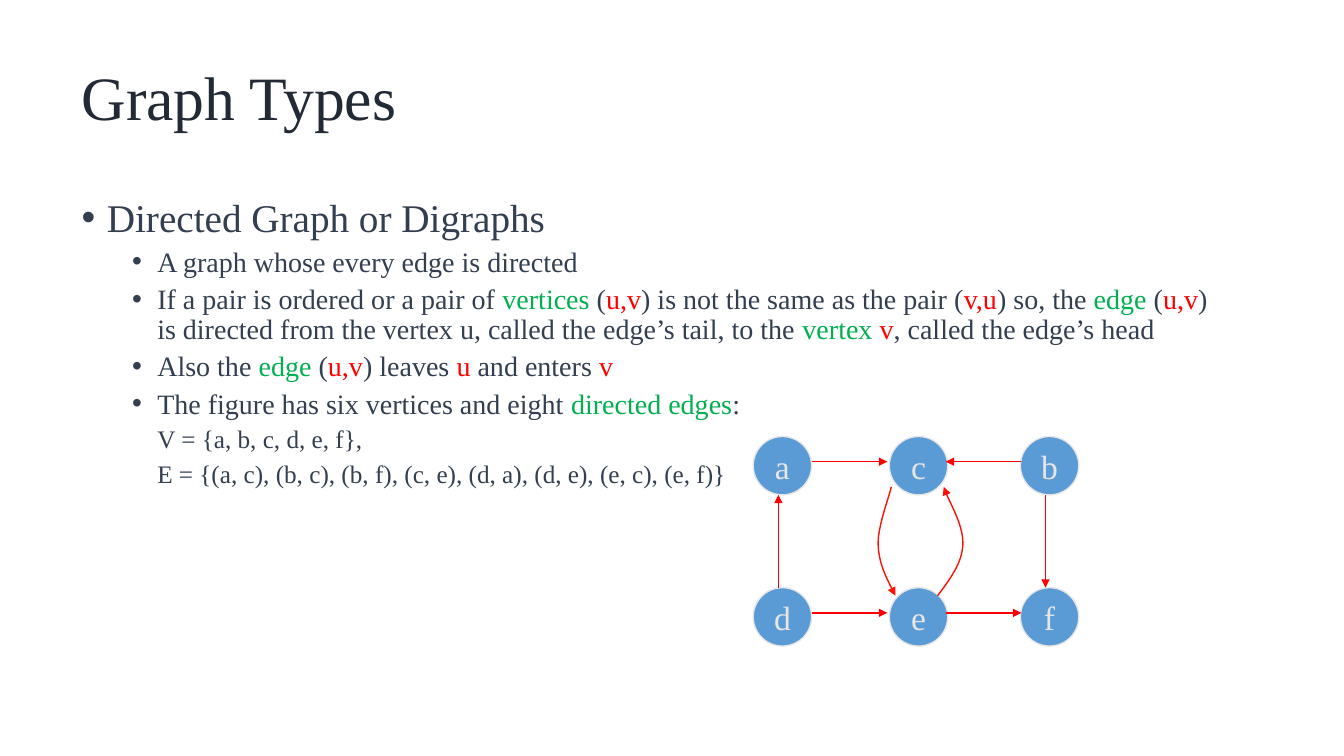
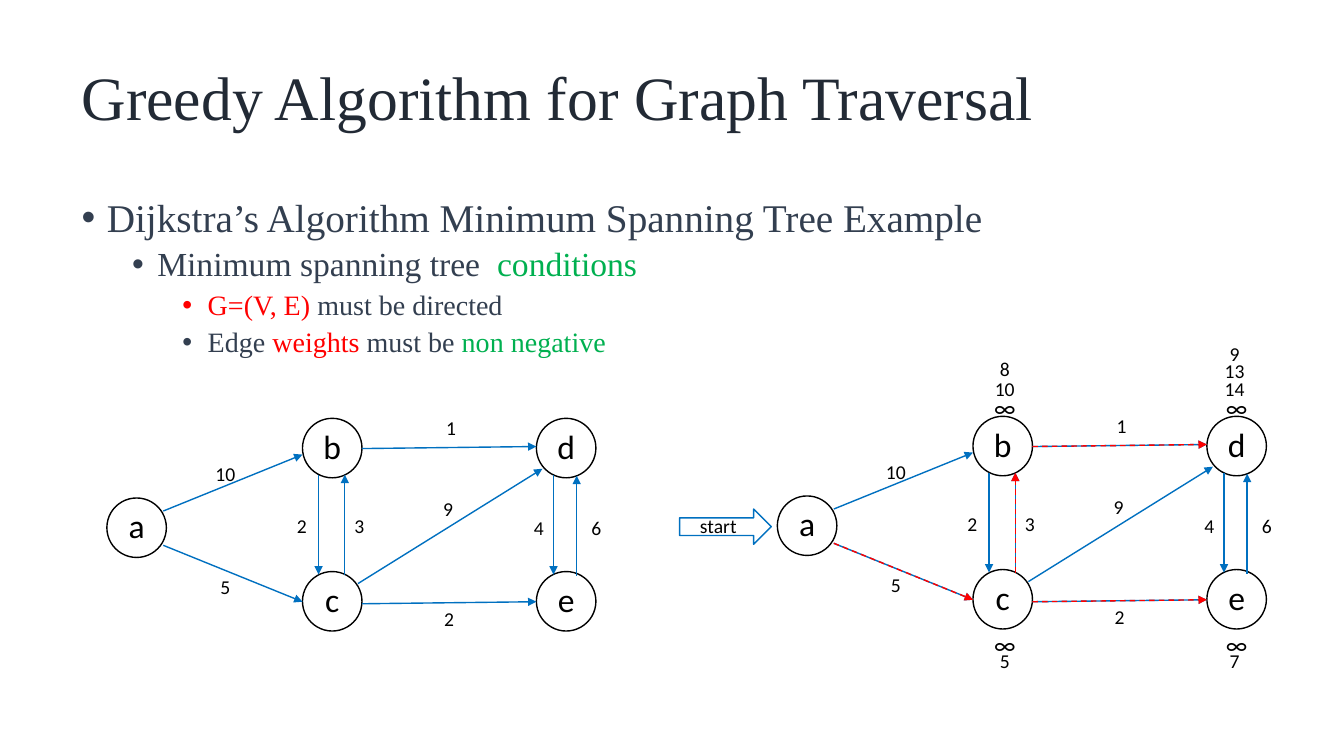
"""Build two lecture slides on directed graphs and Dijkstra's algorithm."""
from dataclasses import dataclass

from lxml import etree
from pptx import Presentation
from pptx.dml.color import RGBColor
from pptx.enum.dml import MSO_LINE
from pptx.enum.shapes import MSO_CONNECTOR, MSO_SHAPE
from pptx.enum.text import MSO_ANCHOR, MSO_AUTO_SIZE, PP_ALIGN
from pptx.oxml.ns import qn
from pptx.util import Inches, Pt

STRAIGHT = MSO_CONNECTOR.STRAIGHT
OVAL, RIGHT_ARROW = MSO_SHAPE.OVAL, MSO_SHAPE.RIGHT_ARROW
DASH = MSO_LINE.DASH
LEFT, CENTER = PP_ALIGN.LEFT, PP_ALIGN.CENTER
MIDDLE, TOP = MSO_ANCHOR.MIDDLE, MSO_ANCHOR.TOP
FIXED = MSO_AUTO_SIZE.NONE


@dataclass(frozen=True)
class NodeStyle:
    fill: str
    outline: str
    text: str
    font: str
    diameter: float
    top_inset: float


@dataclass(frozen=True)
class Theme:
    serif: str = "Times New Roman"
    sans: str = "Calibri"
    title: str = "222A35"
    body: str = "333F50"
    green: str = "00B050"
    red: str = "FF0000"
    curve: str = "FB1105"
    blue: str = "0070C0"
    black: str = "000000"
    title_size: int = 44
    heading_size: int = 28
    subheading_size: int = 24
    detail_size: int = 20
    formula_size: int = 18
    node_size: int = 24
    infinity_size: int = 18
    label_size: int = 14
    solid_node: NodeStyle = NodeStyle("5B9BD5", "E7E6E6", "E7E6E6", "Times New Roman", 0.58, 0.05)
    open_node: NodeStyle = NodeStyle("", "000000", "000000", "Calibri", 0.59, 0)


THEME = Theme()
GREEN, RED = THEME.green, THEME.red

DIGRAPH_TEXT = [
    (0, THEME.heading_size, True, ["Directed Graph or Digraphs"]),
    (1, THEME.detail_size, True, ["A graph whose every edge is directed"]),
    (1, THEME.detail_size, True, [
        "If a pair is ordered or a pair of ", ("vertices", GREEN), " (", ("u,v", RED),
        ") is not the same as the pair (", ("v,u", RED), ") so, the ", ("edge", GREEN),
        " (", ("u,v", RED),
        ") is directed from the vertex u, called the edge’s tail, to the ",
        ("vertex ", GREEN), ("v", RED), ", called the edge’s head"]),
    (1, THEME.detail_size, True, [
        "Also the ", ("edge", GREEN), " (", ("u,v", RED), ") leaves ", ("u", RED),
        " and enters ", ("v", RED)]),
    (1, THEME.detail_size, True, [
        "The figure has six vertices and eight ", ("directed edges", GREEN), ":"]),
    (1, THEME.formula_size, False, ["V = {a, b, c, d, e, f},"]),
    (1, THEME.formula_size, False, [
        "E = {(a, c), (b, c), (b, f), (c, e), (d, a), (d, e), (e, c), (e, f)}"]),
]
DIJKSTRA_TEXT = [
    (0, THEME.heading_size, True, ["Dijkstra’s Algorithm Minimum Spanning Tree Example"]),
    (1, THEME.subheading_size, True, ["Minimum spanning tree  ", ("conditions", GREEN)]),
    (2, THEME.detail_size, True, [("G=(V, E) ", RED), "must be directed"]),
    (2, THEME.detail_size, True, [
        "Edge ", ("weights", RED), " must be ", ("non negative", GREEN)]),
]

DIGRAPH_COLUMNS = (7.47, 8.82, 10.12)
DIGRAPH_ROWS = {4.33: "acb", 5.83: "def"}
DIGRAPH_EDGES = [
    ((8.05, 4.58), (8.8, 4.58)),
    ((10.13, 4.58), (9.38, 4.58)),
    ((8.05, 6.08), (8.8, 6.08)),
    ((9.38, 6.08), (10.13, 6.08)),
    ((7.72, 5.83), (7.72, 4.91)),
    ((10.37, 4.91), (10.37, 5.83)),
]
DIGRAPH_CURVES = [
    [(9.3, 5.91), (9.42, 5.75), (9.54, 5.59), (9.55, 5.41),
     (9.56, 5.23), (9.39, 4.93), (9.36, 4.83)],
    [(8.84, 4.83), (8.82, 4.93), (8.7, 5.23), (8.71, 5.41),
     (8.72, 5.59), (8.8, 5.75), (8.88, 5.91)],
]

WEIGHTED_NODES = {"a": (1.06, 4.94), "b": (3, 4.15), "c": (3, 5.67),
                  "d": (5.32, 4.15), "e": (5.32, 5.67)}
WEIGHTED_EDGES = {
    "ab": ((1.62, 5.07), (3, 4.51), "10", (1.96, 4.53)),
    "ac": ((1.62, 5.41), (3, 5.97), "5", (1.96, 5.65)),
    "bc": ((3.16, 4.71), (3.16, 5.7), "2", (2.72, 5.05)),
    "cb": ((3.42, 5.7), (3.42, 4.71), "3", (3.29, 5.05)),
    "de": ((5.49, 4.71), (5.49, 5.7), "4", (5.07, 5.07)),
    "ed": ((5.72, 5.71), (5.72, 4.72), "6", (5.64, 5.07)),
    "bd": ((3.59, 4.45), (5.32, 4.43), "1", (4.2, 4.08)),
    "ce": ((3.59, 5.99), (5.32, 5.97), "2", (4.18, 5.97)),
    "cd": ((3.55, 5.79), (5.38, 4.65), "9", (4.17, 4.88)),
}
SHORTEST_EDGES = ("ac", "bd", "ce", "cb")
DISTANCES = [
    ("10", 9.69, 3.69), ("8", 9.69, 3.49), ("5", 9.69, 6.39),
    ("14", 11.97, 3.69), ("13", 11.97, 3.51), ("9", 11.97, 3.34), ("7", 11.97, 6.39),
]


class Deck:
    """Hold the theme and the current slide, and draw each kind of element."""

    def __init__(self, theme):
        self.theme = theme
        self.presentation = Presentation()
        self.presentation.slide_width = Inches(13.33)
        self.presentation.slide_height = Inches(7.5)
        self.slide = None

    def add_slide(self, title, paragraphs, body_width):
        """Start a slide with its title and bulleted body."""
        self.slide = self.presentation.slides.add_slide(self.presentation.slide_layouts[1])
        frame = self.place(self.slide.shapes.title, 0.35, 12.29, 1.29, MIDDLE)
        frame.text = title
        paragraph = frame.paragraphs[0]
        paragraph.alignment, paragraph.line_spacing = LEFT, 0.9
        self.format(paragraph.runs[0], self.theme.serif, self.theme.title_size, self.theme.title)
        frame = self.place(self.slide.placeholders[1], 1.92, body_width, 4.76, TOP)
        for index, (level, size, bullet, parts) in enumerate(paragraphs):
            paragraph = frame.add_paragraph() if index else frame.paragraphs[0]
            self.body_paragraph(paragraph, level, size, bullet, parts)
            paragraph.space_before = Pt(5 if index else 0)

    def place(self, shape, top, width, height, anchor):
        """Position a placeholder and return its text frame."""
        shape.left, shape.top = Inches(0.71), Inches(top)
        shape.width, shape.height = Inches(width), Inches(height)
        frame = shape.text_frame
        frame.auto_size, frame.vertical_anchor = FIXED, anchor
        return frame

    def body_paragraph(self, paragraph, level, size, bullet, parts):
        """Fill one body paragraph from plain and coloured parts."""
        paragraph.level, paragraph.line_spacing = level, 0.9
        properties = paragraph._p.get_or_add_pPr()
        properties.set("marL", str(Inches(0.25 + 0.5 * level)))
        properties.set("indent", str(Inches(-0.25 if bullet else 0)))
        if bullet:
            etree.SubElement(properties, qn("a:buFont")).set("typeface", "Arial")
            etree.SubElement(properties, qn("a:buChar")).set("char", "•")
        else:
            etree.SubElement(properties, qn("a:buNone"))
        for part in parts:
            text, color = (part, self.theme.body) if isinstance(part, str) else part
            run = paragraph.add_run()
            run.text = text
            self.format(run, self.theme.serif, size, color)

    def format(self, run, font, size, color):
        """Set the font, size and colour of a run."""
        run.font.name, run.font.size = font, Pt(size)
        run.font.color.rgb = RGBColor.from_string(color)

    def stroke(self, line, color, arrow=False, dashed=False):
        """Style a one-point line."""
        line.color.rgb = RGBColor.from_string(color)
        line.width = Pt(1)
        if dashed:
            line.dash_style = DASH
        if arrow:
            etree.SubElement(line._get_or_add_ln(), qn("a:tailEnd")).set("type", "triangle")

    def outline(self, kind, left, top, width, height, color, fill=""):
        """Draw a preset shape, unfilled unless a fill is given."""
        shape = self.slide.shapes.add_shape(
            kind, Inches(left), Inches(top), Inches(width), Inches(height))
        shape.shadow.inherit = False
        if fill:
            shape.fill.solid()
            shape.fill.fore_color.rgb = RGBColor.from_string(fill)
        else:
            shape.fill.background()
        self.stroke(shape.line, color)
        return shape

    def node(self, text, left, top, style):
        """Draw a lettered vertex."""
        shape = self.outline(
            OVAL, left, top, style.diameter, style.diameter, style.outline, style.fill)
        frame = shape.text_frame
        frame.word_wrap, frame.vertical_anchor = False, MIDDLE
        frame.margin_left = frame.margin_right = 0
        frame.margin_top, frame.margin_bottom = Inches(style.top_inset), Inches(0.05)
        self.centered(frame, text, style.font, self.theme.node_size, style.text)

    def centered(self, frame, text, font, size, color):
        """Write one centred line."""
        frame.text = text
        paragraph = frame.paragraphs[0]
        paragraph.alignment = CENTER
        self.format(paragraph.runs[0], font, size, color)

    def label(self, text, left, top, width=0.55, height=0.34, size=THEME.label_size):
        """Write a small centred label."""
        box = self.slide.shapes.add_textbox(
            Inches(left), Inches(top), Inches(width), Inches(height))
        box.text_frame.word_wrap = True
        self.centered(box.text_frame, text, self.theme.sans, size, self.theme.black)

    def edge(self, start, end, color, dashed=False):
        """Draw a straight arrow."""
        connector = self.slide.shapes.add_connector(
            STRAIGHT, *(Inches(value) for value in (*start, *end)))
        self.stroke(connector.line, color, True, dashed)
        etree.SubElement(connector._element.spPr, qn("a:effectLst"))

    def curve(self, points, color):
        """Draw an arrow along cubic curves through start and control points."""
        start, *controls = [(Inches(x), Inches(y)) for x, y in points]
        builder = self.slide.shapes.build_freeform(*start, scale=1.0)
        builder.add_line_segments(controls, close=False)
        shape = builder.convert_to_shape()
        segments = list(shape._element.iter(qn("a:lnTo")))
        for index in range(0, len(segments), 3):
            first, *others = segments[index:index + 3]
            first.tag = qn("a:cubicBezTo")
            for segment in others:
                first.extend(list(segment))
                segment.getparent().remove(segment)
        shape.shadow.inherit = False
        shape.fill.background()
        self.stroke(shape.line, color, True)

    def weighted_graph(self, shift_x=0, shift_y=0, highlighted=()):
        """Draw the weighted graph, with highlighted edges dashed in red."""
        def moved(point):
            return point[0] + shift_x, point[1] + shift_y

        for letter, position in WEIGHTED_NODES.items():
            self.node(letter, *moved(position), self.theme.open_node)
        for name, (start, end, weight, position) in WEIGHTED_EDGES.items():
            self.edge(moved(start), moved(end), self.theme.blue)
            if name in highlighted:
                self.edge(moved(start), moved(end), self.theme.red, dashed=True)
            self.label(weight, *moved(position))


def main():
    """Build and save both slides."""
    deck = Deck(THEME)

    deck.add_slide("Graph Types", DIGRAPH_TEXT, 11.5)
    for top, letters in DIGRAPH_ROWS.items():
        for left, letter in zip(DIGRAPH_COLUMNS, letters):
            deck.node(letter, left, top, THEME.solid_node)
    for start, end in DIGRAPH_EDGES:
        deck.edge(start, end, THEME.red)
    for points in DIGRAPH_CURVES:
        deck.curve(points, THEME.curve)

    deck.add_slide("Greedy Algorithm for Graph Traversal", DIJKSTRA_TEXT, 12.07)
    deck.weighted_graph()
    deck.weighted_graph(6.65, -0.02, SHORTEST_EDGES)
    deck.outline(RIGHT_ARROW, 6.74, 5.05, 0.91, 0.35, THEME.blue)
    deck.label("start", 6.71, 5.05, width=0.83)
    for left in (9.69, 11.99):
        for top in (3.84, 6.19):
            deck.label("∞", left, top, height=0.4, size=THEME.infinity_size)
    for distance, left, top in DISTANCES:
        deck.label(distance, left, top)

    deck.presentation.save("out.pptx")


if __name__ == "__main__":
    main()
